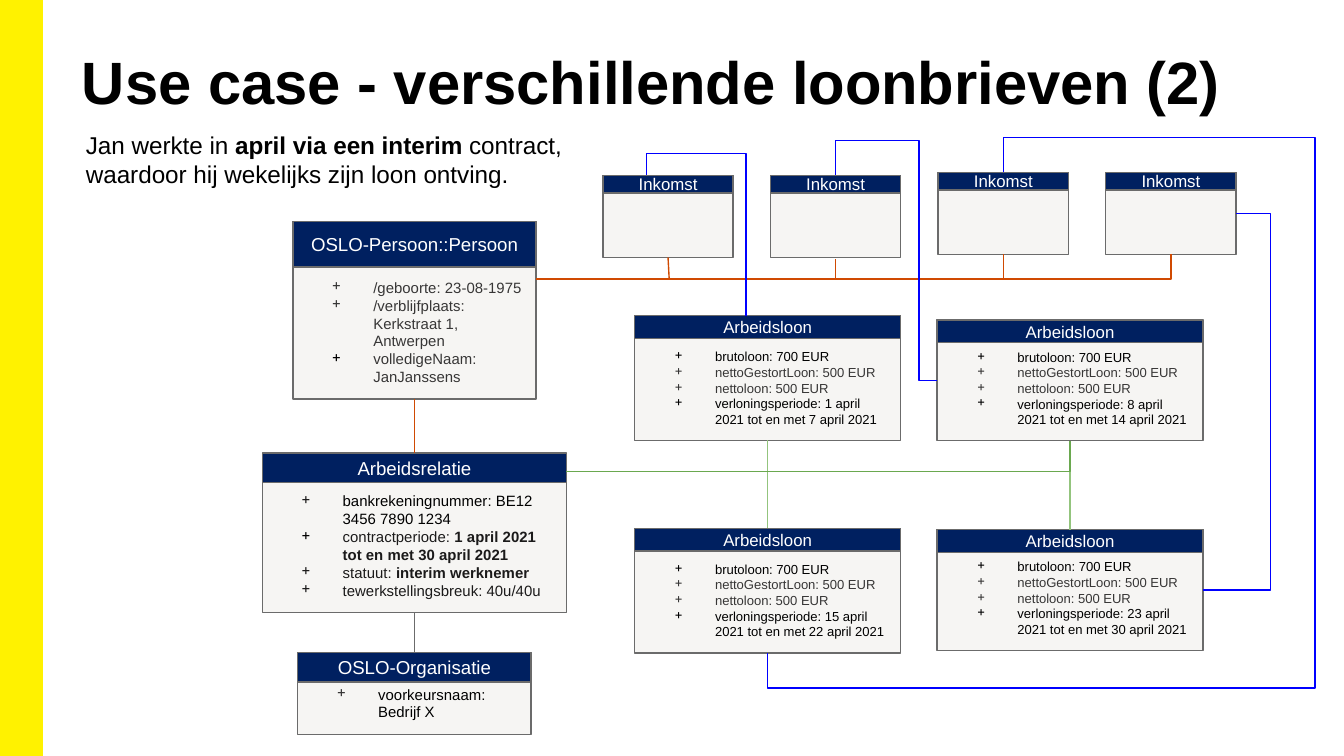
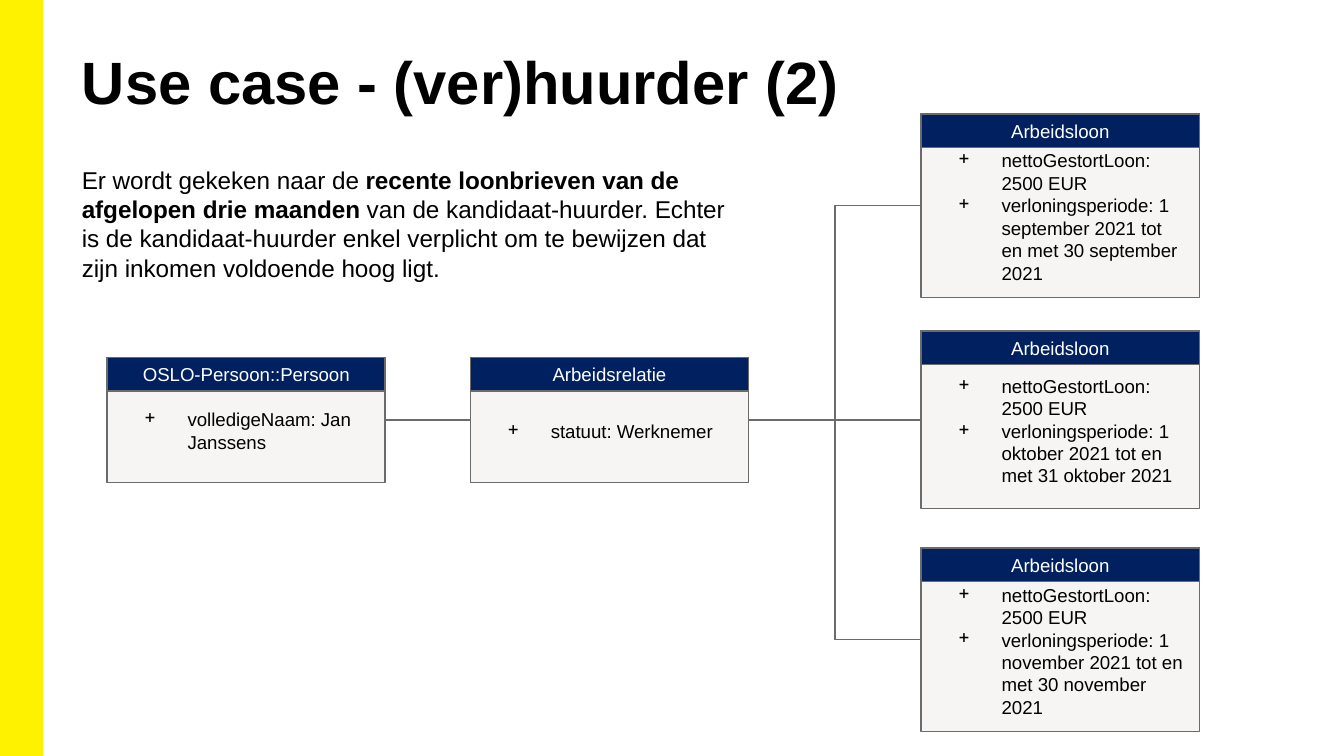
from dataclasses import dataclass

from pptx import Presentation
from pptx.dml.color import RGBColor
from pptx.enum.shapes import MSO_CONNECTOR, MSO_SHAPE
from pptx.enum.text import MSO_ANCHOR, MSO_AUTO_SIZE, PP_ALIGN
from pptx.oxml.ns import qn
from pptx.util import Pt

RECTANGLE = MSO_SHAPE.RECTANGLE
STRAIGHT, ELBOW = MSO_CONNECTOR.STRAIGHT, MSO_CONNECTOR.ELBOW
TOP, MIDDLE, BOTTOM = MSO_ANCHOR.TOP, MSO_ANCHOR.MIDDLE, MSO_ANCHOR.BOTTOM
LEFT, CENTER = PP_ALIGN.LEFT, PP_ALIGN.CENTER
SITE_TOP, SITE_LEFT, SITE_BOTTOM, SITE_RIGHT = range(4)
TITLE_ONLY = 5


@dataclass(frozen=True)
class Theme:
    font: str = "Arial"
    black: str = "000000"
    ink: str = "1B1A1A"
    grey: str = "373636"
    white: str = "FFFFFF"
    yellow: str = "FFF200"
    navy: str = "002060"
    paper: str = "F6F5F3"
    outline: str = "6B6B6B"
    orange: str = "D04A02"
    green: str = "6AA84F"
    light_green: str = "93C47D"
    blue: str = "0000FF"
    title_size: float = 32
    intro_size: float = 13
    large_size: float = 10
    header_size: float = 9
    detail_size: float = 8
    small_size: float = 7
    line_width: float = 0.75
    inset: float = 7.2


THEME = Theme()


def colour(value):
    return RGBColor.from_string(value)


def add_run(paragraph, text, size, text_colour=THEME.black, bold=False):
    run = paragraph.add_run()
    run.text = text
    run.font.name = THEME.font
    run.font.size = Pt(size)
    run.font.bold = bold
    run.font.color.rgb = colour(text_colour)


def prepare_frame(shape, anchor, inset=THEME.inset, top_inset=None):
    frame = shape.text_frame
    frame.word_wrap = True
    frame.auto_size = MSO_AUTO_SIZE.NONE
    frame.vertical_anchor = anchor
    frame.margin_left = frame.margin_right = frame.margin_bottom = Pt(inset)
    frame.margin_top = Pt(inset if top_inset is None else top_inset)
    return frame


def add_rectangle(shapes, left, top, width, height, fill, line=THEME.outline):
    shape = shapes.add_shape(RECTANGLE, Pt(left), Pt(top), Pt(width), Pt(height))
    shape.shadow.inherit = False
    shape.fill.solid()
    shape.fill.fore_color.rgb = colour(fill)
    shape.line.color.rgb = colour(line)
    shape.line.width = Pt(THEME.line_width)
    return shape


def set_plus_bullet(paragraph, size, bullet_colour):
    properties = paragraph._p.get_or_add_pPr()
    properties.set("marL", str(Pt(36)))
    properties.set("indent", str(-Pt(18 + size / 2)))
    bullet = properties.makeelement(qn("a:buClr"), {})
    bullet.append(bullet.makeelement(qn("a:srgbClr"), {"val": bullet_colour}))
    properties.append(bullet)
    properties.append(properties.makeelement(qn("a:buChar"), {"char": "+"}))


def add_entity(slide, name, box, header_height, name_size, items=(),
               item_size=THEME.detail_size, anchor=BOTTOM,
               top_inset=THEME.inset, body_drop=0):
    """Draw a named entity; each item is (bullet colour, runs). Return header, body."""
    left, top, width, height = box
    shapes = slide.shapes.add_group_shape().shapes
    body = add_rectangle(shapes, left, top + body_drop, width,
                         height - body_drop, THEME.paper)
    frame = prepare_frame(body, anchor, top_inset=top_inset)
    for index, (bullet_colour, runs) in enumerate(items):
        paragraph = frame.add_paragraph() if index else frame.paragraphs[0]
        paragraph.alignment = LEFT
        set_plus_bullet(paragraph, item_size, bullet_colour)
        for text, *style in runs:
            add_run(paragraph, text, item_size, *style)
    header = add_rectangle(shapes, left, top, width, header_height, THEME.navy)
    paragraph = prepare_frame(header, MIDDLE).paragraphs[0]
    paragraph.alignment = CENTER
    add_run(paragraph, name, name_size, THEME.white)
    return header, body


def add_line(slide, kind, begin, end, line_colour):
    connector = slide.shapes.add_connector(
        kind, *(Pt(value) for value in (*begin, *end)))
    connector.line.color.rgb = colour(line_colour)
    connector.line.width = Pt(THEME.line_width)
    properties = connector.element.spPr
    properties.append(properties.makeelement(qn("a:effectLst"), {}))
    return connector


def join(slide, begin_shape, begin_site, end_shape, end_site,
         line_colour=THEME.outline):
    connector = add_line(slide, STRAIGHT, (0, 0), (0, 0), line_colour)
    connector.begin_connect(begin_shape, begin_site)
    connector.end_connect(end_shape, end_site)


def add_elbow(slide, begin, end, line_colour, bends=(), upright=False):
    """Draw a bent line; bends are its adjustments, upright makes it leave vertically."""
    if upright:
        middle_x, middle_y = ((a + b) / 2 for a, b in zip(begin, end))
        begin, end = ((middle_x + y - middle_y, middle_y - x + middle_x)
                      for x, y in (begin, end))
    connector = add_line(slide, ELBOW, begin, end, line_colour)
    properties = connector.element.spPr
    if upright:
        properties.find(qn("a:xfrm")).set("rot", str(90 * 60000))
    geometry = properties.find(qn("a:prstGeom"))
    geometry.set("prst", f"bentConnector{len(bends) + 2}")
    adjustments = geometry.find(qn("a:avLst"))
    for number, bend in enumerate(bends, 1):
        adjustments.append(adjustments.makeelement(qn("a:gd"), {
            "name": f"adj{number}" if len(bends) > 1 else "adj1",
            "fmla": f"val {round(bend * 100000)}"}))


def add_slide(presentation, title, intro_box, intro_runs):
    slide = presentation.slides.add_slide(presentation.slide_layouts[TITLE_ONLY])
    frame = prepare_frame(slide.shapes.title, TOP, inset=5)
    frame.margin_top = frame.margin_bottom = Pt(2.9)
    frame.paragraphs[0].alignment = LEFT
    add_run(frame.paragraphs[0], title, THEME.title_size, bold=True)
    intro = slide.shapes.add_textbox(*(Pt(value) for value in intro_box))
    paragraph = prepare_frame(intro, TOP).paragraphs[0]
    for text, bold in intro_runs:
        add_run(paragraph, text, THEME.intro_size, bold=bold)
    return slide


def style_layout(presentation, slide):
    """Place the title and the yellow band on the layout that the slides share."""
    layout = presentation.slide_layouts[TITLE_ONLY]
    title = layout.placeholders[0]
    title.left, title.top = Pt(38.9), Pt(20.9)
    title.width, title.height = Pt(625.7), Pt(41.8)
    band = add_rectangle(slide.shapes, 0, 0, 22.5, 405, THEME.yellow, THEME.yellow)
    band.line.width = Pt(1)
    layout.shapes.element.insert(2, band.element)


def add_weekly_payslip(slide, left, top, height, period):
    items = [
        (THEME.black, [("brutoloon: 700 EUR",)]),
        (THEME.grey, [("nettoGestortLoon: 500 EUR", THEME.grey)]),
        (THEME.grey, [("nettoloon: 500 EUR", THEME.grey)]),
        (THEME.black, [(f"verloningsperiode: {period}",)]),
    ]
    return add_entity(slide, "Arbeidsloon", (left, top, 142.5, height), 12.2,
                      THEME.header_size, items, THEME.small_size)


def build_payslips(presentation):
    slide = add_slide(
        presentation, "Use case - verschillende loonbrieven (2)",
        (38.9, 62.6, 274.3, 46.1),
        [("Jan werkte in ", False), ("april via een interim ", True),
         ("contract, waardoor hij wekelijks zijn loon ontving.", False)])
    style_layout(presentation, slide)
    grey, ink = THEME.grey, THEME.ink

    _, person = add_entity(
        slide, "OSLO-Persoon::Persoon", (156.9, 118.8, 130.2, 95), 24.2,
        THEME.large_size,
        [(grey, [("/geboorte: 23-08-1975", grey)]),
         (grey, [("/verblijfplaats: Kerkstraat 1, Antwerpen", grey)]),
         (THEME.black, [("volledigeNaam: JanJanssens", grey)])])
    relation_header, relation = add_entity(
        slide, "Arbeidsrelatie", (140.5, 242.6, 163, 85.7), 15.8,
        THEME.large_size,
        [(ink, [("bankrekeningnummer: BE12 3456 7890 1234",)]),
         (THEME.black, [("contractperiode: ", ink),
                        ("1 april 2021 tot en met 30 april 2021", ink, True)]),
         (ink, [("statuut: ", ink), ("interim werknemer", ink, True)]),
         (ink, [("tewerkstellingsbreuk: 40u/40u", ink)])],
        body_drop=5.8)
    organisation_header, _ = add_entity(
        slide, "OSLO-Organisatie", (159.5, 349.5, 125, 43.9), 15.8,
        THEME.large_size, [(grey, [("voorkeursnaam: Bedrijf X",)])])

    payslips = [add_weekly_payslip(slide, *values) for values in (
        (340, 169.2, 66.8, "1 april 2021 tot en met 7 april 2021"),
        (502, 171.4, 64.8, "8 april 2021 tot en met 14 april 2021"),
        (340, 283, 66.8, "15 april 2021 tot en met 22 april 2021"),
        (502, 283.8, 64.8, "23 april 2021 tot en met 30 april 2021"))]
    incomes = [add_entity(slide, "Inkomst", (323 + 89.8 * index, top, 69.8, 43.9),
                          9.4, THEME.header_size)[1]
               for index, top in enumerate((94, 94, 92.4, 92.4))]

    join(slide, relation, SITE_BOTTOM, organisation_header, SITE_TOP)
    join(slide, person, SITE_BOTTOM, relation_header, SITE_TOP, THEME.orange)
    for upper, lower in zip(payslips[:2], payslips[2:]):
        join(slide, upper[1], SITE_BOTTOM, lower[0], SITE_TOP, THEME.light_green)

    add_elbow(slide, (303.5, 252.7), (573.25, 236.2), THEME.green)
    add_elbow(slide, (287.1, 149.5), (627.3, 136.3), THEME.orange)
    for income, begin, end in (
            (incomes[0], (357.9, 137.9), (358.5, 149.5)),
            (None, (447.7, 139), (447.7, 149)),
            (incomes[2], (537.5, 136.3), (537.5, 149))):
        drop = add_line(slide, STRAIGHT, begin, end, THEME.orange)
        if income is not None:
            drop.begin_connect(income, SITE_BOTTOM)

    add_elbow(slide, (537.5, 92.4), (411.25, 349.8), THEME.blue,
              (-0.073, -1.323, 1.073), upright=True)
    add_elbow(slide, (644.5, 316.2), (662.2, 114.4), THEME.blue, (2.041,))
    add_elbow(slide, (502, 203.8), (447.7, 94), THEME.blue, (0.179, 1.171))
    add_elbow(slide, (399.6, 169.2), (346.5, 94), THEME.blue, (1.155,),
              upright=True)


def add_large_entity(slide, name, left, top, height, texts, anchor=MIDDLE):
    items = [(THEME.black, [(text,)]) for text in texts]
    return add_entity(slide, name, (left, top, 149, height), 18, THEME.large_size,
                      items, THEME.large_size, anchor, top_inset=18.7)[1]


def build_tenant(presentation):
    slide = add_slide(
        presentation, "Use case - (ver)huurder (2)", (36.7, 81.4, 360.7, 77.8),
        [("Er wordt gekeken naar de ", False),
         ("recente loonbrieven van de afgelopen drie maanden", True),
         (" van de kandidaat-huurder. Echter is de kandidaat-huurder enkel "
          "verplicht om te bewijzen dat zijn inkomen voldoende hoog ligt.", False)])

    person = add_large_entity(slide, "OSLO-Persoon::Persoon", 57.4, 191.5, 67,
                              ["volledigeNaam: Jan Janssens"])
    relation = add_large_entity(slide, "Arbeidsrelatie", 252, 191.5, 67,
                                ["statuut: Werknemer"])
    payslips = [
        add_large_entity(slide, "Arbeidsloon", 493.5, top, height,
                         ["nettoGestortLoon: 2500 EUR",
                          f"verloningsperiode: {period}"], anchor)
        for top, height, period, anchor in (
            (61, 98.4, "1 september 2021 tot en met 30 september 2021", MIDDLE),
            (177.4, 95.2, "1 oktober 2021 tot en met 31 oktober 2021", MIDDLE),
            (293.5, 98.4, "1 november 2021 tot en met 30 november 2021", BOTTOM))]

    join(slide, person, SITE_RIGHT, relation, SITE_LEFT)
    join(slide, relation, SITE_RIGHT, payslips[1], SITE_LEFT)
    for middle in (110.2, 342.7):
        add_elbow(slide, (401, 225), (493.5, middle), THEME.outline, (0.5,))


def main():
    presentation = Presentation()
    presentation.slide_width, presentation.slide_height = Pt(720), Pt(405)
    build_payslips(presentation)
    build_tenant(presentation)
    presentation.save("out.pptx")


if __name__ == "__main__":
    main()
